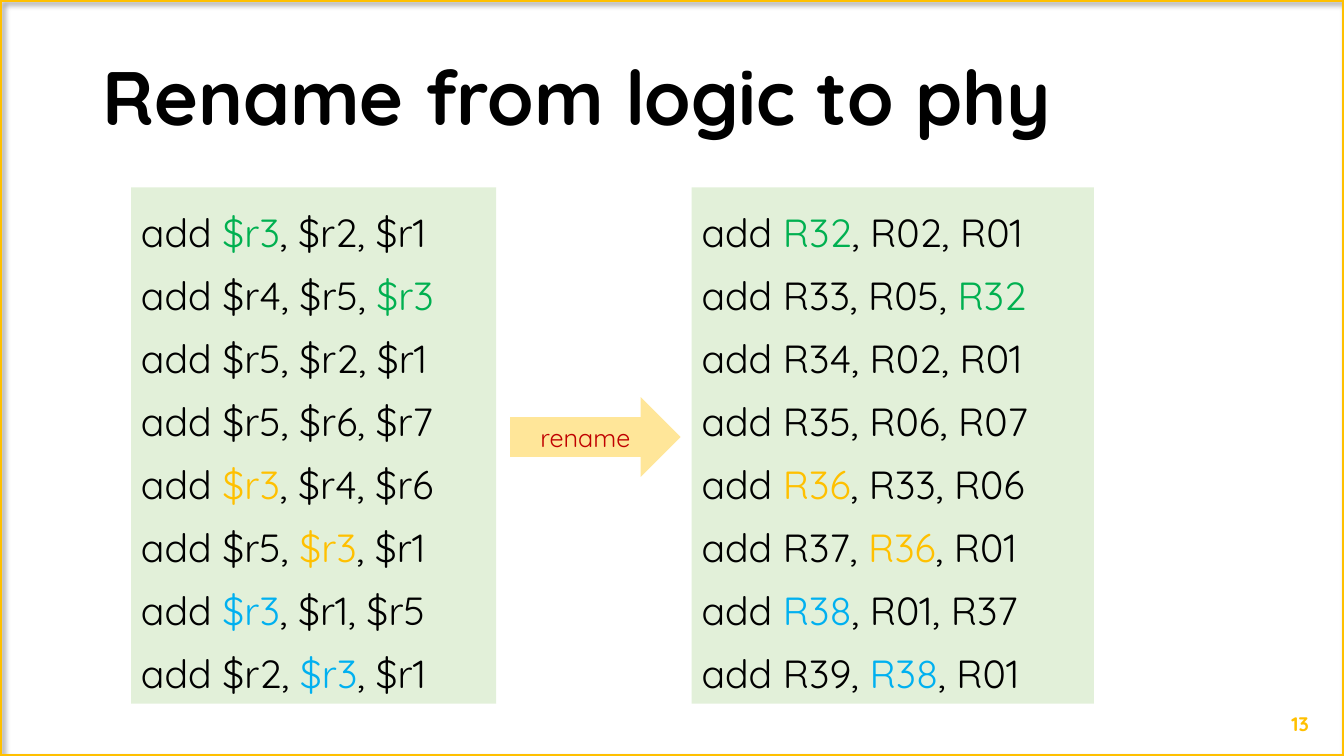
from dataclasses import dataclass

import pptx
import pptx.dml.color
import pptx.enum.shapes
import pptx.enum.text
import pptx.oxml
import pptx.oxml.ns
import pptx.util

Inches = pptx.util.Inches
Pt = pptx.util.Pt
Anchor = pptx.enum.text.MSO_ANCHOR
Align = pptx.enum.text.PP_ALIGN
Preset = pptx.enum.shapes.MSO_SHAPE


@dataclass(frozen=True)
class Theme:
    font: str = "Quicksand"
    ink: str = "000000"
    gold: str = "FFC000"
    green: str = "00B050"
    blue: str = "00B0F0"
    red: str = "C00000"
    panel: str = "E2F0D9"
    arrow: str = "FFE699"
    title_size: int = 54
    code_size: int = 28
    label_size: int = 18
    number_size: int = 14
    code_leading: int = 45


@dataclass(frozen=True)
class Box:
    left: float
    top: float
    width: float
    height: float

    def lengths(self) -> tuple:
        return tuple(Inches(v) for v in (self.left, self.top, self.width, self.height))


@dataclass(frozen=True)
class Instruction:
    operands: str
    tracked: str = ""
    color: str = ""


@dataclass(frozen=True)
class Listing:
    box: Box
    instructions: tuple


THEME = Theme()
PANEL_TOP, PANEL_HEIGHT = 1.86, 5.12

LISTINGS = (
    Listing(Box(1.3, PANEL_TOP, 3.62, PANEL_HEIGHT), (
        Instruction("$r3, $r2, $r1", "$r3", THEME.green),
        Instruction("$r4, $r5, $r3", "$r3", THEME.green),
        Instruction("$r5, $r2, $r1"),
        Instruction("$r5, $r6, $r7"),
        Instruction("$r3, $r4, $r6", "$r3", THEME.gold),
        Instruction("$r5, $r3, $r1", "$r3", THEME.gold),
        Instruction("$r3, $r1, $r5", "$r3", THEME.blue),
        Instruction("$r2, $r3, $r1", "$r3", THEME.blue),
    )),
    Listing(Box(6.86, PANEL_TOP, 3.99, PANEL_HEIGHT), (
        Instruction("R32, R02, R01", "R32", THEME.green),
        Instruction("R33, R05, R32", "R32", THEME.green),
        Instruction("R34, R02, R01"),
        Instruction("R35, R06, R07"),
        Instruction("R36, R33, R06", "R36", THEME.gold),
        Instruction("R37, R36, R01", "R36", THEME.gold),
        Instruction("R38, R01, R37", "R38", THEME.blue),
        Instruction("R39, R38, R01", "R38", THEME.blue),
    )),
)


def rgb(color: str) -> pptx.dml.color.RGBColor:
    return pptx.dml.color.RGBColor.from_string(color)


def add_run(paragraph, text: str, size: int, color: str, bold: bool = False) -> None:
    run = paragraph.add_run()
    run.text = text
    run.font.name = THEME.font
    run.font.size = Pt(size)
    run.font.bold = bold
    run.font.color.rgb = rgb(color)


def add_filled(slide, preset, box: Box, color: str):
    shape = slide.shapes.add_shape(preset, *box.lengths())
    shape.shadow.inherit = False
    shape.fill.solid()
    shape.fill.fore_color.rgb = rgb(color)
    shape.line.fill.background()
    return shape


def add_caption(slide, box: Box, text: str, size: int, color: str, anchor, align):
    frame = slide.shapes.add_textbox(*box.lengths()).text_frame
    frame.word_wrap = True
    frame.vertical_anchor = anchor
    paragraph = frame.paragraphs[0]
    paragraph.alignment = align
    add_run(paragraph, text, size, color, bold=True)
    return paragraph


def add_border(slide, box: Box) -> None:
    border = slide.shapes.add_shape(Preset.RECTANGLE, *box.lengths())
    border.fill.background()
    border.line.color.rgb = rgb(THEME.gold)
    border.line.width = Pt(3)
    border.shadow.inherit = False
    effects = border._element.spPr.find(pptx.oxml.ns.qn("a:effectLst"))
    effects.append(pptx.oxml.parse_xml(
        f'<a:outerShdw {pptx.oxml.ns.nsdecls("a")} blurRad="{Pt(4)}" dist="{Pt(3)}" '
        f'dir="2700000" algn="tl" rotWithShape="0"><a:srgbClr val="{THEME.ink}">'
        '<a:alpha val="40000"/></a:srgbClr></a:outerShdw>'))


def add_listing(slide, listing: Listing) -> None:
    frame = add_filled(slide, Preset.RECTANGLE, listing.box, THEME.panel).text_frame
    frame.word_wrap = True
    frame.vertical_anchor = Anchor.TOP
    for index, instruction in enumerate(listing.instructions):
        paragraph = frame.add_paragraph() if index else frame.paragraphs[0]
        paragraph.alignment = Align.LEFT
        paragraph.line_spacing = Pt(THEME.code_leading)
        code = "add " + instruction.operands
        before, tracked, after = (
            code.partition(instruction.tracked) if instruction.tracked else (code, "", ""))
        for text, color in ((before, THEME.ink), (tracked, instruction.color), (after, THEME.ink)):
            if text:
                add_run(paragraph, text, THEME.code_size, color)


def add_rename_arrow(slide, box: Box) -> None:
    frame = add_filled(slide, Preset.RIGHT_ARROW, box, THEME.arrow).text_frame
    frame.vertical_anchor = Anchor.MIDDLE
    paragraph = frame.paragraphs[0]
    paragraph.alignment = Align.CENTER
    add_run(paragraph, "rename", THEME.label_size, THEME.red)


presentation = pptx.Presentation()
presentation.slide_width = Inches(13.33)
presentation.slide_height = Inches(7.5)
slide = presentation.slides.add_slide(presentation.slide_layouts[6])

add_border(slide, Box(0, 0, 13.33, 7.5))
title = add_caption(slide, Box(0.92, 0.4, 11.5, 1.06), "Rename from logic to phy",
                    THEME.title_size, THEME.ink, Anchor.BOTTOM, Align.LEFT)
title.line_spacing = 0.9
add_caption(slide, Box(12.42, 6.98, 0.66, 0.4), "13",
            THEME.number_size, THEME.gold, Anchor.MIDDLE, Align.RIGHT)
for listing in LISTINGS:
    add_listing(slide, listing)
add_rename_arrow(slide, Box(5.06, 3.94, 1.69, 0.79))

presentation.save("out.pptx")
